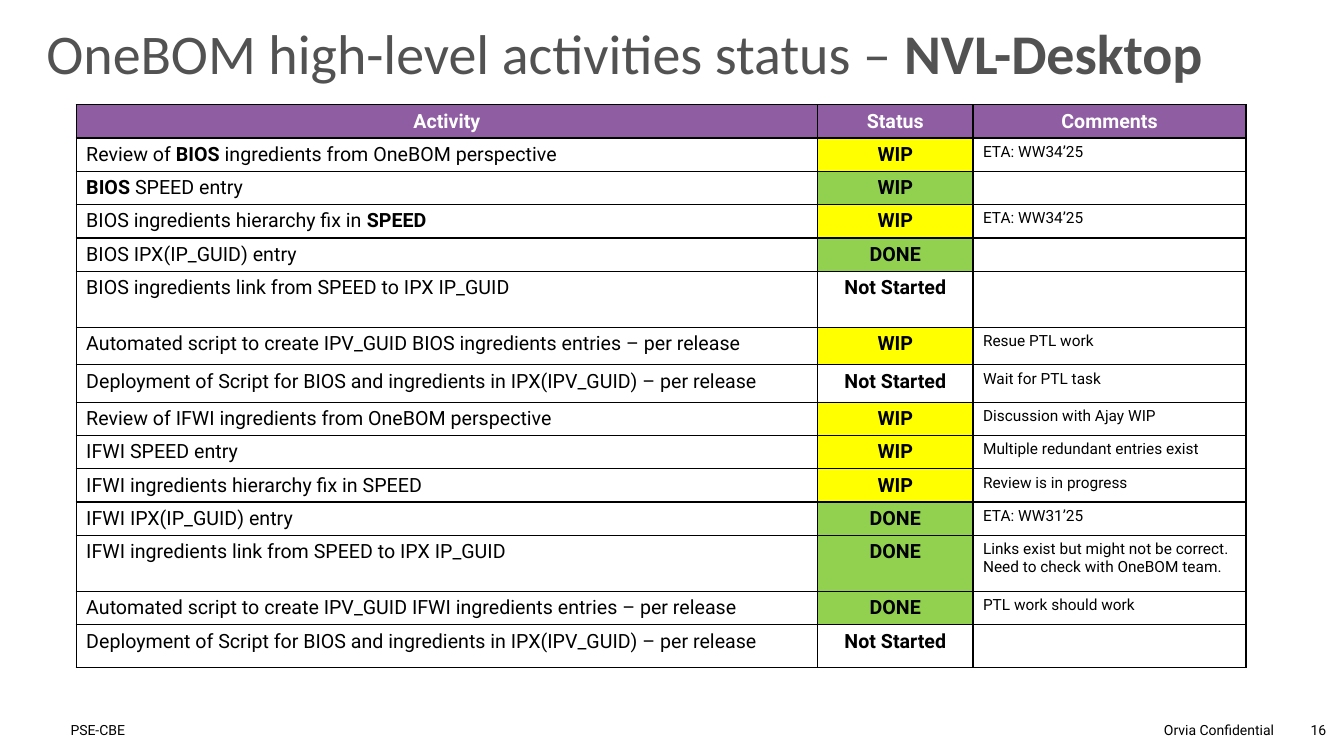
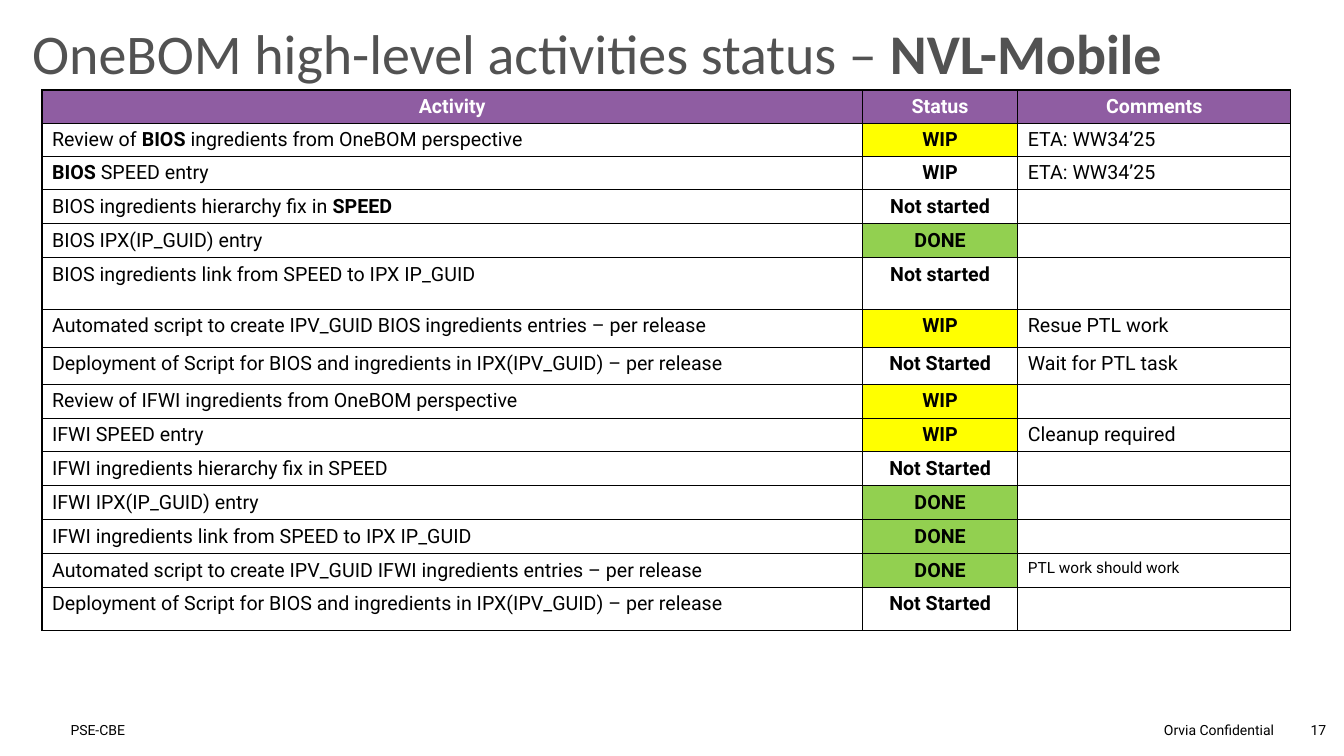
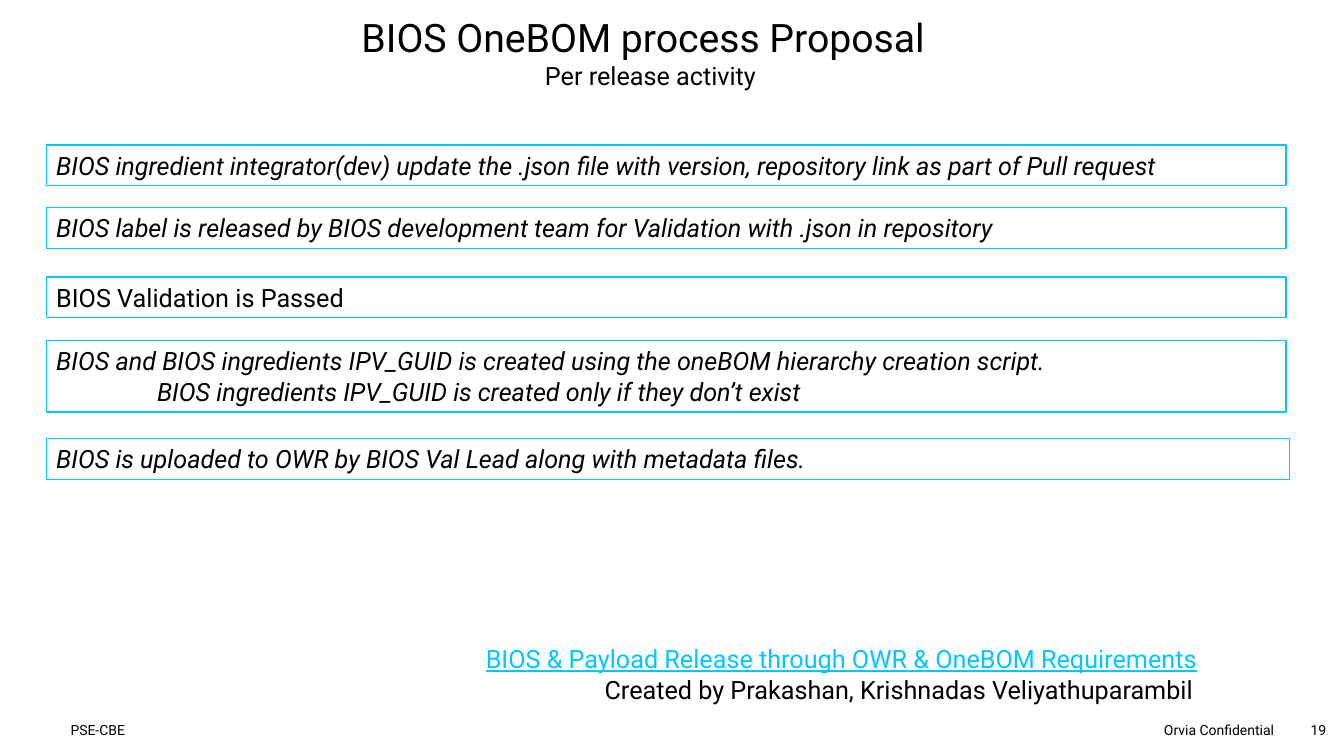
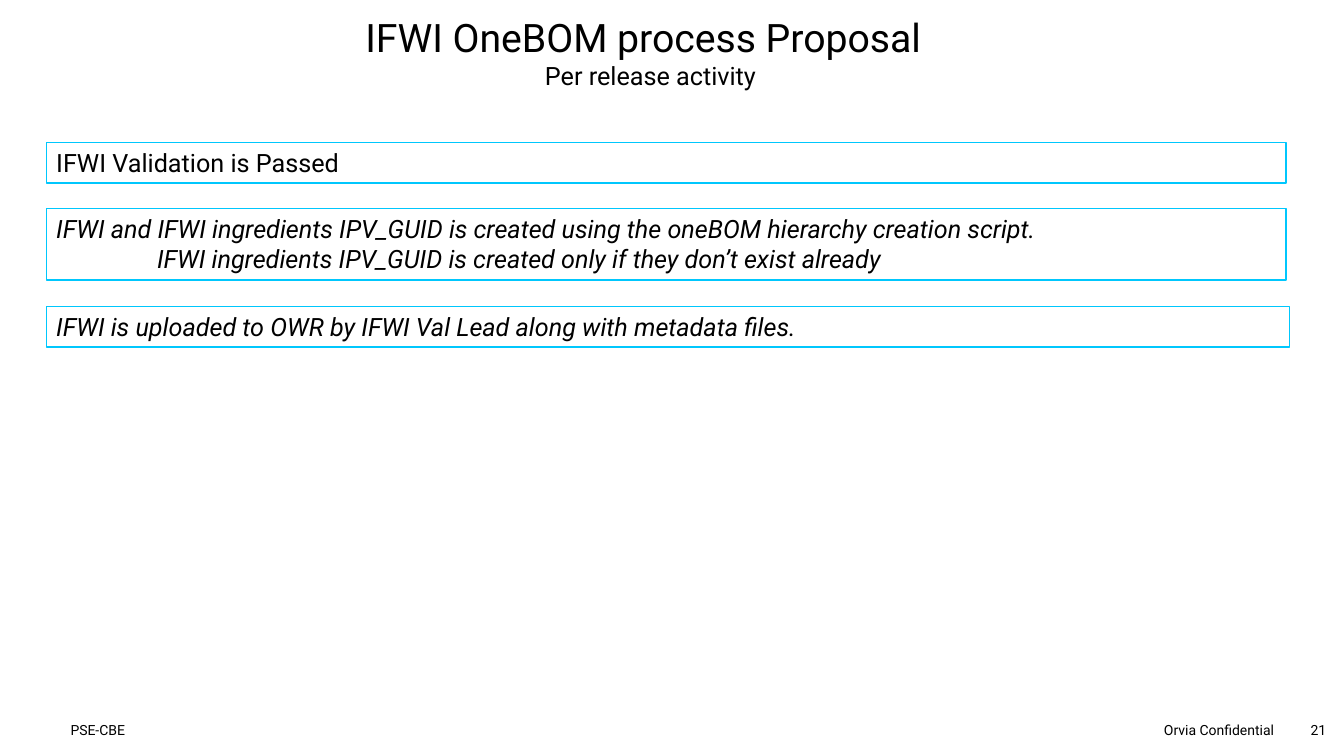
from lxml import etree
from pptx import Presentation
from pptx.dml.color import RGBColor
from pptx.enum import shapes, text
from pptx.oxml.ns import qn
from pptx.util import Pt

# Shared style
FONT, TITLE_FONT = "Roboto", "Calibri"
BLACK, WHITE, GREY = "000000", "FFFFFF", "525252"
PURPLE, CYAN = "8F5DA2", "00C7FD"
YELLOW, GREEN = "FFFF00", "92D050"
LEFT, CENTER, RIGHT = text.PP_ALIGN.LEFT, text.PP_ALIGN.CENTER, text.PP_ALIGN.RIGHT
TOP, MIDDLE, BOTTOM = text.MSO_ANCHOR.TOP, text.MSO_ANCHOR.MIDDLE, text.MSO_ANCHOR.BOTTOM
ROW_H = 23.75

# Asterisks enclose bold words
ACTIVITIES = [
    "Review of *BIOS* ingredients from OneBOM perspective",
    "*BIOS* SPEED entry",
    "BIOS ingredients hierarchy fix in *SPEED*",
    "BIOS IPX(IP_GUID) entry",
    "BIOS ingredients link from SPEED to IPX IP_GUID",
    "Automated script to create IPV_GUID BIOS ingredients entries – per release",
    "Deployment of Script for BIOS and ingredients in IPX(IPV_GUID) – per release",
    "Review of IFWI ingredients from OneBOM perspective",
    "IFWI SPEED entry",
    "IFWI ingredients hierarchy fix in SPEED",
    "IFWI IPX(IP_GUID) entry",
    "IFWI ingredients link from SPEED to IPX IP_GUID",
    "Automated script to create IPV_GUID IFWI ingredients entries – per release",
    "Deployment of Script for BIOS and ingredients in IPX(IPV_GUID) – per release",
]

# Status, fill, comment, comment size
DESKTOP = [
    ("WIP", YELLOW, "ETA: WW34’25", 11),
    ("WIP", GREEN, "", 11),
    ("WIP", YELLOW, "ETA: WW34’25", 11),
    ("DONE", GREEN, "", 11),
    ("Not Started", WHITE, "", 11),
    ("WIP", YELLOW, "Resue PTL work", 11),
    ("Not Started", WHITE, "Wait for PTL task", 11),
    ("WIP", YELLOW, "Discussion with Ajay WIP", 11),
    ("WIP", YELLOW, "Multiple redundant entries exist", 11),
    ("WIP", YELLOW, "Review is in progress", 11),
    ("DONE", GREEN, "ETA: WW31’25", 11),
    ("DONE", GREEN, "Links exist but might not be correct. Need to check with OneBOM team.", 11),
    ("DONE", GREEN, "PTL work should work", 11),
    ("Not Started", WHITE, "", 11),
]
MOBILE = [
    ("WIP", YELLOW, "ETA: WW34’25", 14),
    ("WIP", WHITE, "ETA: WW34’25", 14),
    ("Not started", WHITE, "", 14),
    ("DONE", GREEN, "", 14),
    ("Not started", WHITE, "", 14),
    ("WIP", YELLOW, "Resue PTL work", 14),
    ("Not Started", WHITE, "Wait for PTL task", 14),
    ("WIP", YELLOW, "", 14),
    ("WIP", YELLOW, "Cleanup required", 14),
    ("Not Started", WHITE, "", 14),
    ("DONE", GREEN, "", 14),
    ("DONE", GREEN, "", 14),
    ("DONE", GREEN, "PTL work should work", 11),
    ("Not Started", WHITE, "", 14),
]


def rgb(color):
    return RGBColor.from_string(color)


def write(p, content, size, color=BLACK, font=FONT, align=LEFT, bold=False, italic=False):
    """Fill a paragraph; parts between asterisks become bold."""
    p.alignment = align
    for i, part in enumerate(content.split("*")):
        if part:
            r = p.add_run()
            r.text = part
            f = r.font
            f.name, f.size, f.color.rgb = font, Pt(size), rgb(color)
            f.bold, f.italic = bold or i % 2 == 1, italic
    if not content:
        etree.SubElement(p._p, qn("a:endParaRPr"), sz=str(size * 100))


def set_frame(tf, anchor=TOP, margins=(7.2, 3.6), wrap=True):
    tf.auto_size = text.MSO_AUTO_SIZE.NONE
    tf.word_wrap, tf.vertical_anchor = wrap, anchor
    tf.margin_left = tf.margin_right = Pt(margins[0])
    tf.margin_top = tf.margin_bottom = Pt(margins[1])


def add_text(s, box, content, size, color=BLACK, align=LEFT, **frame):
    sp = s.shapes.add_textbox(*map(Pt, box))
    set_frame(sp.text_frame, **frame)
    p = sp.text_frame.paragraphs[0]
    write(p, content, size, color, align=align)
    return p


def set_title(s, box, content, size, color, font, align, anchor, margins, spacing=1.0):
    sp = s.shapes.title
    sp.left, sp.top, sp.width, sp.height = map(Pt, box)
    set_frame(sp.text_frame, anchor, margins)
    p = sp.text_frame.paragraphs[0]
    p.line_spacing, p.space_before = spacing, Pt(0)
    write(p, content, size, color, font, align)


def add_footer(s, number):
    for x, w, content, align in [(50.4, 288, "PSE-CBE", LEFT),
                                 (821.5, 88.5, "Orvia Confidential", RIGHT),
                                 (935.3, 13, str(number), CENTER)]:
        add_text(s, (x, 512.6, w, 18), content, 10, align=align,
                 anchor=MIDDLE, margins=(0, 0), wrap=False)


def new_slide(prs, number):
    s = prs.slides.add_slide(prs.slide_layouts[5])
    add_footer(s, number)
    return s


# Status tables
def style_cell(cell, fill=None):
    tcPr = cell._tc.get_or_add_tcPr()
    for side in ("a:lnL", "a:lnR", "a:lnT", "a:lnB"):
        ln = etree.SubElement(tcPr, qn(side), w=str(Pt(1)))
        solid = etree.SubElement(ln, qn("a:solidFill"))
        etree.SubElement(solid, qn("a:srgbClr"), val=BLACK)
    if fill:
        cell.fill.solid()
        cell.fill.fore_color.rgb = rgb(fill)
    else:
        cell.fill.background()


def add_status_table(s, x, y, widths, rows, tall_rows):
    heights = [tall_rows.get(i, ROW_H) for i in range(len(rows) + 1)]
    tbl = s.shapes.add_table(len(heights), len(widths), Pt(x), Pt(y),
                             Pt(sum(widths)), Pt(sum(heights))).table
    tbl.horz_banding = False
    for col, w in zip(tbl.columns, widths):
        col.width = Pt(w)
    for row, h in zip(tbl.rows, heights):
        row.height = Pt(h)
    for c, heading in enumerate(("Activity", "Status", "Comments")):
        cell = tbl.cell(0, c)
        style_cell(cell, PURPLE)
        write(cell.text_frame.paragraphs[0], heading, 14, WHITE, align=CENTER, bold=True)
    for i, (activity, (status, fill, comment, size)) in enumerate(zip(ACTIVITIES, rows), 1):
        for c, (content, sz, color) in enumerate([(activity, 14, None), (status, 14, fill),
                                                  (comment, size, None)]):
            cell = tbl.cell(i, c)
            style_cell(cell, color)
            write(cell.text_frame.paragraphs[0], content, sz,
                  align=CENTER if c == 1 else LEFT, bold=c == 1)


def status_slide(prs, number, product, title_x, table_x, table_y, activity_w, rows, tall_rows):
    s = new_slide(prs, number)
    set_title(s, (title_x, 0, 890, 61.9), f"OneBOM high-level activities status – *{product}*",
              40, GREY, TITLE_FONT, LEFT, BOTTOM, (0, 0), 0.9)
    add_status_table(s, table_x, table_y, (activity_w, 110.9, 195.1), rows, tall_rows)


# Process slides
def add_step(s, y, w, lines, italic=True):
    h = 7.4 + 21.8 * len(lines)
    sp = s.shapes.add_shape(shapes.MSO_SHAPE.RECTANGLE, Pt(33.1), Pt(y), Pt(w), Pt(h))
    sp.shadow.inherit = False
    sp.fill.solid()
    sp.fill.fore_color.rgb = rgb(WHITE)
    sp.line.color.rgb, sp.line.width = rgb(CYAN), Pt(1)
    tf = sp.text_frame
    set_frame(tf)
    for i, line in enumerate(lines):
        p = tf.add_paragraph() if i else tf.paragraphs[0]
        if i:
            p._p.get_or_add_pPr().set("marL", str(Pt(72)))
        write(p, line, 18, italic=italic)


def process_slide(prs, number, subject, steps):
    s = new_slide(prs, number)
    set_title(s, (0, 5.8, 918.7, 41.2), f"{subject} OneBOM process Proposal",
              28, BLACK, FONT, CENTER, TOP, (7.2, 3.6))
    add_text(s, (141.8, 39.6, 645.8, 29.1), "Per release activity", 18, align=CENTER)
    for step in steps:
        add_step(s, *step)
    return s


def add_reference(s, x, y):
    p = add_text(s, (x, y, 575.3, 43.9), "BIOS & Payload Release through OWR & OneBOM Requirements",
                 18, CYAN, margins=(10.8, 10.8))
    p.runs[0].font.underline = True
    add_text(s, (x + 88.6, y + 29.5, 486.7, 29.1),
             "Created by Prakashan, Krishnadas Veliyathuparambil", 18)


def main():
    prs = Presentation()
    prs.slide_width, prs.slide_height = Pt(960), Pt(540)

    status_slide(prs, 16, "NVL-Desktop", 33.1, 54.4, 74.8, 529.7, DESKTOP,
                 {5: 40, 6: 26.8, 7: 26.8, 12: 40, 14: 30.8})
    status_slide(prs, 17, "NVL-Mobile", 23, 30, 64.3, 586.1, MOBILE,
                 {5: 37, 6: 26.8, 7: 26.8, 14: 30.8})

    s = process_slide(prs, 19, "BIOS", [
        (103.5, 885.6, ["BIOS ingredient integrator(dev) update the .json file with version, "
                        "repository link as part of Pull request"]),
        (148.4, 885.6, ["BIOS label is released by BIOS development team for Validation "
                        "with .json in repository"]),
        (197.8, 885.6, ["BIOS Validation is Passed"], False),
        (243.3, 885.6, ["BIOS and BIOS ingredients IPV_GUID is created using the oneBOM "
                        "hierarchy creation script.",
                        "BIOS ingredients IPV_GUID is created only if they don’t exist"]),
        (313.2, 887.8, ["BIOS is uploaded to OWR by BIOS Val Lead along with metadata files."]),
    ])
    add_reference(s, 336.2, 448.6)

    process_slide(prs, 21, "IFWI", [
        (101.7, 885.6, ["IFWI Validation is Passed"], False),
        (149, 885.6, ["IFWI and IFWI ingredients IPV_GUID is created using the oneBOM "
                      "hierarchy creation script.",
                      "IFWI ingredients IPV_GUID is created only if they don’t exist already"]),
        (218.8, 887.8, ["IFWI is uploaded to OWR by IFWI Val Lead along with metadata files."]),
    ])
    prs.save("out.pptx")


if __name__ == "__main__":
    main()
